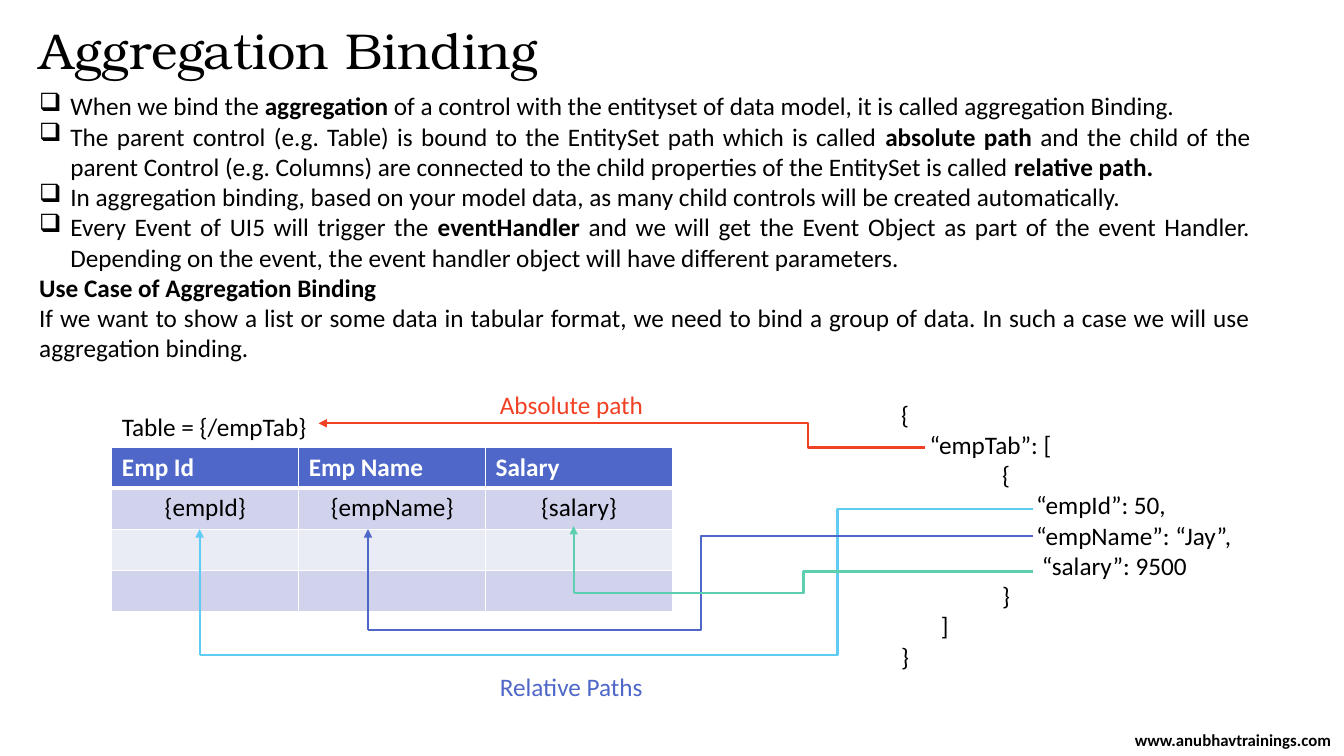
import pptx
import pptx.util
import pptx.dml.color
import pptx.enum.shapes
import pptx.enum.text
import pptx.oxml
import pptx.oxml.ns

Inches, Pt = pptx.util.Inches, pptx.util.Pt
ALIGN = pptx.enum.text.PP_ALIGN
ANCHOR = pptx.enum.text.MSO_ANCHOR
CONNECTOR = pptx.enum.shapes.MSO_CONNECTOR

COLORS = {
    "black": "000000", "white": "FFFFFF", "indigo": "4E67C8", "red": "F14124",
    "sky": "5ECCF3", "green": "5DCEAF", "band": "D0D3EB", "pale": "E9EBF5",
}
BULLETS = [
    ["When we bind the ", "*aggregation",
     " of a control with the entityset of data model, it is called aggregation Binding."],
    ["The parent control (e.g. Table) is bound to the EntitySet path which is called ",
     "*absolute path",
     " and the child of the parent Control (e.g. Columns) are connected to the child "
     "properties of the EntitySet is called ", "*relative path."],
    ["In aggregation binding, based on your model data, as many child controls will be "
     "created automatically."],
    ["Every Event of UI5 will trigger the ", "*eventHandler ",
     "and we will get the Event Object as part of the event Handler. Depending on the "
     "event, the event handler object will have different parameters."],
]
USE_CASE = [
    ["*Use Case of Aggregation Binding"],
    ["If we want to show a list or some data in tabular format, we need to bind a group "
     "of data. In such a case we will use aggregation binding."],
]
MODEL_DATA = [
    "{",
    "     “empTab”: [",
    "\t{",
    "\t      “empId”: 50,",
    "\t      “empName”: “Jay”,",
    "\t       “salary”: 9500",
    "\t}",
    "       ]",
    "}",
]
TABLE_ROWS = [
    ("Emp Id", "Emp Name", "Salary"),
    ("{empId}", "{empName}", "{salary}"),
    ("", "", ""),
    ("", "", ""),
]
ROW_FILLS = ["indigo", "band", "pale", "band"]
ROW_HEIGHTS = [0.4, 0.41, 0.41, 0.41]
LABELS = [
    ("Table = {/empTab}", (1.11, 4.03, 2.19, 0.4), "black"),
    ("Absolute path", (4.86, 3.81, 2.76, 0.4), "red"),
    ("Relative Paths", (4.86, 6.61, 1.8, 0.4), "indigo"),
]
PROPERTY_X = 10.25
RELATIVE_PATHS = [
    ("sky", 5.05, 8.31, 1.98, 6.5, 5.25),
    ("indigo", 5.32, 6.95, 3.65, 6.25, 5.25),
    ("green", 5.67, 7.97, 5.69, 5.88, 5.22),
]


def rgb(color):
    return pptx.dml.color.RGBColor.from_string(COLORS[color])


def add_span(para, text, color="black", size=18, bold=False, font="Calibri"):
    span = para.add_run()
    span.text = text
    span.font.name = font
    span.font.size = Pt(size)
    span.font.bold = bold
    span.font.color.rgb = rgb(color)


def add_box(page, place):
    frame = page.shapes.add_textbox(*map(Inches, place)).text_frame
    frame.word_wrap = True
    return frame


def add_paras(frame, count):
    return [frame.paragraphs[0]] + [frame.add_paragraph() for _ in range(count - 1)]


def add_child(parent, tag, **attributes):
    child = parent.makeelement(pptx.oxml.ns.qn(tag), attributes)
    parent.append(child)
    return child


def add_bullet(para):
    properties = para._p.get_or_add_pPr()
    properties.set("marL", str(Inches(0.31)))
    properties.set("indent", str(-Inches(0.31)))
    add_child(properties, "a:buChar", char="❑")


def add_body(page):
    lines = BULLETS + USE_CASE
    frame = add_box(page, (0.29, 0.85, 12.21, 3.13))
    for index, (para, spans) in enumerate(zip(add_paras(frame, len(lines)), lines)):
        if index < len(BULLETS):
            add_bullet(para)
        para.alignment = ALIGN.JUSTIFY
        for text in spans:
            add_span(para, text.lstrip("*"), bold=text.startswith("*"))


def add_model_data(page):
    frame = add_box(page, (8.84, 3.91, 3.6, 2.83))
    for para, text in zip(add_paras(frame, len(MODEL_DATA)), MODEL_DATA):
        tabs = add_child(para._p.get_or_add_pPr(), "a:tabLst")
        add_child(tabs, "a:tab", pos=str(Inches(1)), algn="l")
        add_span(para, text)


def add_border(cell, side, width):
    line = add_child(cell._tc.get_or_add_tcPr(), f"a:ln{side}", w=str(Pt(width)))
    add_child(add_child(line, "a:solidFill"), "a:srgbClr", val=COLORS["white"])


def add_employee_table(page):
    place = map(Inches, (1.11, 4.44, 5.56, sum(ROW_HEIGHTS)))
    table = page.shapes.add_table(len(TABLE_ROWS), len(TABLE_ROWS[0]), *place).table
    for row, texts in enumerate(TABLE_ROWS):
        table.rows[row].height = Inches(ROW_HEIGHTS[row])
        header = row == 0
        for column, text in enumerate(texts):
            cell = table.cell(row, column)
            widths = {"L": 1, "R": 1, "T": 3 if row == 1 else 1, "B": 3 if header else 1}
            for side, width in widths.items():
                add_border(cell, side, width)
            cell.fill.solid()
            cell.fill.fore_color.rgb = rgb(ROW_FILLS[row])
            if text:
                para = cell.text_frame.paragraphs[0]
                para.alignment = ALIGN.LEFT if header else ALIGN.CENTER
                add_span(para, text, "white" if header else "black", bold=header)


def add_path(page, color, start, end, turn=None, arrow=False):
    kind = CONNECTOR.STRAIGHT if turn is None else CONNECTOR.ELBOW
    path_line = page.shapes.add_connector(kind, *map(Inches, start + end))
    path_line.line.color.rgb = rgb(color)
    path_line.line.width = Pt(1.5)
    properties = path_line._element.spPr
    if turn is not None:
        share = round((start[0] - turn) / (start[0] - end[0]) * 100000)
        guides = properties.find(pptx.oxml.ns.qn("a:prstGeom")).get_or_add_avLst()
        add_child(guides, "a:gd", name="adj1", fmla=f"val {share}")
    if arrow:
        add_child(path_line.line._get_or_add_ln(), "a:tailEnd", type="triangle")
    add_child(properties, "a:effectLst")


def main():
    deck = pptx.Presentation()
    deck.slide_width, deck.slide_height = Inches(13.33), Inches(7.5)
    page = deck.slides.add_slide(deck.slide_layouts[6])

    title = add_box(page, (0.29, 0.21, 8.5, 0.65)).paragraphs[0]
    title.line_spacing = 0.9
    add_span(title, "Aggregation Binding", size=36, font="TeX Gyre Bonum")
    add_body(page)

    footer = add_box(page, (11.13, 7.26, 2.2, 0.16))
    footer.vertical_anchor = ANCHOR.MIDDLE
    footer.paragraphs[0].alignment = ALIGN.CENTER
    add_span(footer.paragraphs[0], "www.anubhavtrainings.com", size=12, bold=True)

    add_employee_table(page)
    add_model_data(page)

    add_path(page, "red", (9.17, 4.44), (3.16, 4.2), turn=8.01, arrow=True)
    for color, property_y, turn, cell_x, low_y, cell_y in RELATIVE_PATHS:
        add_path(page, color, (PROPERTY_X, property_y), (cell_x, low_y), turn=turn)
        add_path(page, color, (cell_x, low_y), (cell_x, cell_y), arrow=True)
    for text, place, color in LABELS:
        add_span(add_box(page, place).paragraphs[0], text, color)

    deck.save("out.pptx")


if __name__ == "__main__":
    main()
